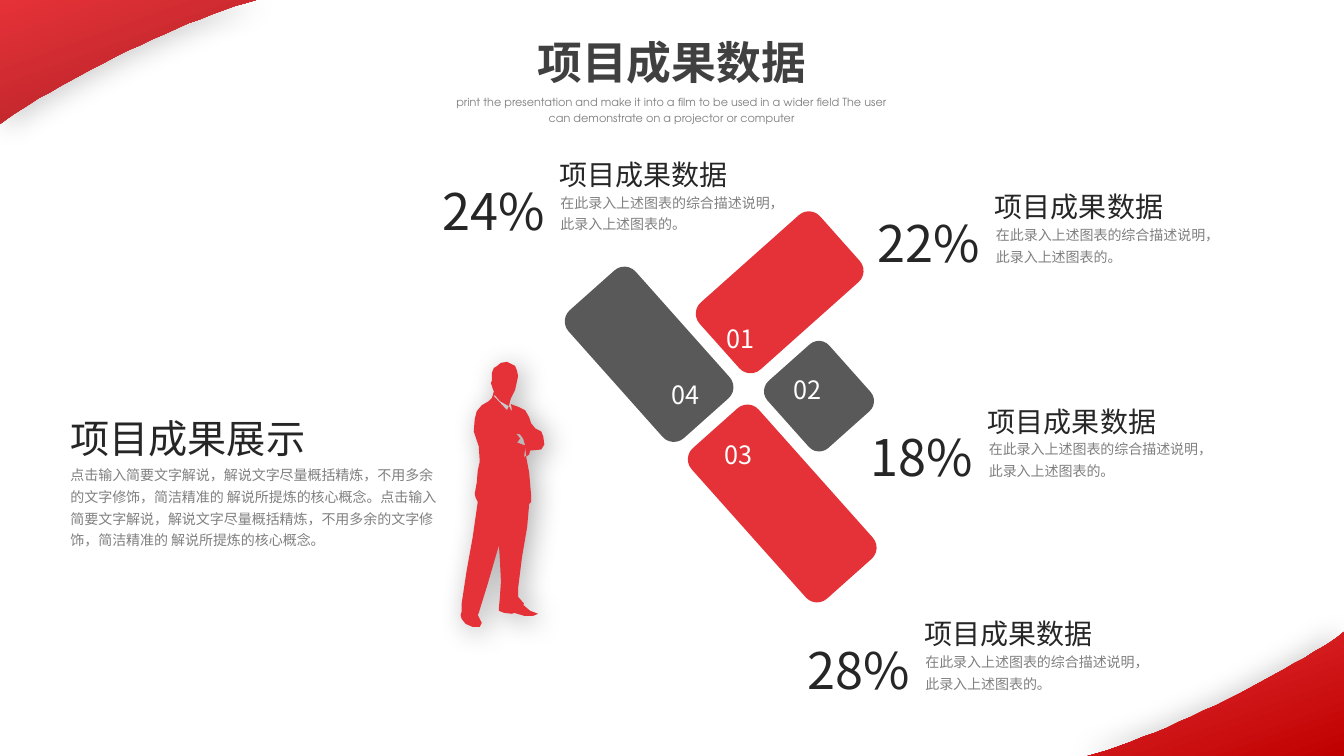
"""Build the project results slide with four percentage blocks and a silhouette."""
from lxml import etree
from pptx import Presentation
from pptx.dml.color import RGBColor
from pptx.enum.shapes import MSO_SHAPE
from pptx.enum.text import MSO_ANCHOR, MSO_AUTO_SIZE, PP_ALIGN
from pptx.oxml.ns import qn
from pptx.util import Inches, Pt

RED = RGBColor(0xE5, 0x32, 0x38)
DARK_RED = RGBColor(0xAC, 0x21, 0x25)
DEEP_RED = RGBColor(0xC0, 0x00, 0x00)
SLATE = RGBColor(0x59, 0x59, 0x59)
INK = RGBColor(0x26, 0x26, 0x26)
TITLE_GRAY = RGBColor(0x40, 0x40, 0x40)
GRAY = RGBColor(0x80, 0x80, 0x80)
WHITE = RGBColor(0xFF, 0xFF, 0xFF)
LEFT, CENTER, RIGHT = PP_ALIGN.LEFT, PP_ALIGN.CENTER, PP_ALIGN.RIGHT
TOP = MSO_ANCHOR.TOP
FIXED, GROW = MSO_AUTO_SIZE.NONE, MSO_AUTO_SIZE.SHAPE_TO_FIT_TEXT
ROUNDED = MSO_SHAPE.ROUNDED_RECTANGLE
SANS, GEOMETRIC = "Noto Sans CJK SC", "TeX Gyre Adventor"

CELL = Inches(0.1)
COLUMNS, ROWS = 133.33, 75
POINTS_PER_CELL = 10

deck = Presentation()
deck.slide_width, deck.slide_height = int(COLUMNS * CELL), ROWS * CELL
page = deck.slides.add_slide(deck.slide_layouts[5])


def write(place, lines, box=None, align=LEFT, spacing=1.3, font=SANS,
          bold=False, wrap=True, grow=True, inset=True):
    """Fill a box at a grid place with lines of (text, size, colour)."""
    left, top, width, height = (int(cells * CELL) for cells in place)
    box = box or page.shapes.add_textbox(left, top, width, height)
    box.left, box.top, box.width, box.height = left, top, width, height
    frame = box.text_frame
    side, edge = (CELL, CELL // 2) if inset else (0, 0)
    frame_format = {
        "word_wrap": wrap, "auto_size": GROW if grow else FIXED,
        "vertical_anchor": TOP, "margin_left": side, "margin_right": side,
        "margin_top": edge, "margin_bottom": edge,
    }
    for name, value in frame_format.items():
        setattr(frame, name, value)
    for index, (text, size, color) in enumerate(lines):
        para = frame.add_paragraph() if index else frame.paragraphs[0]
        para.alignment, para.line_spacing = align, spacing
        span = para.add_run()
        span.text = text
        span.font.color.rgb = color
        for name, value in {"size": Pt(size), "bold": bold, "name": font}.items():
            setattr(span.font, name, value)
        etree.SubElement(span.font._element, qn("a:ea"), typeface=SANS)


def draw_outline(contours, opacity, direction):
    """Draw closed contours, in hundredths of an inch, with a soft shadow."""
    builder = page.shapes.build_freeform(*contours[0][0], scale=CELL / POINTS_PER_CELL)
    for index, contour in enumerate(contours):
        if index:
            builder.move_to(*contour[0])
        builder.add_line_segments(contour[1:], close=True)
    shape = builder.convert_to_shape()
    shape.line.fill.background()
    shape.shadow.inherit = False
    effects = shape._element.spPr.find(qn("a:effectLst"))
    shadow = etree.SubElement(
        effects, qn("a:outerShdw"), blurRad=str(Pt(20)), dist=str(Pt(5)),
        dir=str(direction * 60000), algn="ctr", rotWithShape="0")
    black = etree.SubElement(shadow, qn("a:srgbClr"), val="000000")
    etree.SubElement(black, qn("a:alpha"), val=str(opacity * 1000))
    return shape


CURVE = [(254, 0), (174, 22), (49, 87), (0, 123)]
STEPS = 24
corner = [(0, 0)]
for step in range(STEPS + 1):
    t = step / STEPS
    weights = ((1 - t) ** 3, 3 * t * (1 - t) ** 2, 3 * t * t * (1 - t), t ** 3)
    corner.append(tuple(sum(w * point[axis] for w, point in zip(weights, CURVE))
                        for axis in (0, 1)))
far_x, far_y = COLUMNS * POINTS_PER_CELL, ROWS * POINTS_PER_CELL
opposite = [(far_x - x, far_y - y) for x, y in corner]
for outline, end_color, direction in ((corner, DARK_RED, 45), (opposite, DEEP_RED, 180)):
    fill = draw_outline([outline], 20, direction).fill
    fill.gradient()
    fill.gradient_angle = 290
    for stop, color, position in zip(fill.gradient_stops, (RED, end_color), (0, 1)):
        stop.color.rgb, stop.position = color, position

write((43.3, 2.9, 46.7, 6.4), [("项目成果数据", 32, TITLE_GRAY)], box=page.shapes.title,
      align=CENTER, spacing=1.0, font=GEOMETRIC, bold=True)
write((43.3, 8.7, 46.7, 4.2),
      [("print the presentation and make it into a film to be used in a wider field "
        "The user can demonstrate on a projector or computer", 8, GRAY)],
      align=CENTER, spacing=1.2, font=GEOMETRIC)

TILT = 48.3
blades = [
    ((55.9, 30.7, 17, 8.9), SLATE, "04", (65.6, 36.2)),
    ((67.6, 45.5, 20, 8.9), RED, "03", (70.9, 42.2)),
    ((72.9, 21, 8.9, 16), RED, "01", (71.1, 30.7)),
    ((76.8, 35.2, 8.9, 8.2), SLATE, "02", (77.7, 35.7)),
]
for place, color, number, label_place in blades:
    blade = page.shapes.add_shape(ROUNDED, *(int(cells * CELL) for cells in place))
    blade.rotation = TILT
    blade.shadow.inherit = False
    blade.fill.solid()
    blade.fill.fore_color.rgb = color
    blade.line.fill.background()
    write((*label_place, 4.8, 4.6), [(number, 18, WHITE)], wrap=False)

body = [
    (539, 433), (537, 428), (531, 425), (527, 420), (525, 414), (521, 407), (515, 404),
    (507, 401), (508, 408), (507, 407), (505, 403), (503, 407), (490, 393), (491, 392),
    (496, 398), (505, 403), (506, 398), (507, 395), (511, 387), (513, 378), (514, 373),
    (513, 368), (511, 363), (507, 361), (503, 359), (497, 360), (492, 364), (490, 365),
    (488, 370), (488, 378), (487, 380), (489, 386), (490, 388), (489, 392), (488, 395),
    (485, 398), (478, 402), (473, 408), (471, 416), (470, 428), (475, 443), (476, 458),
    (474, 467), (473, 479), (471, 490), (472, 494), (474, 498), (469, 533), (463, 566),
    (458, 599), (458, 607), (457, 610), (458, 614), (462, 619), (469, 622), (476, 622),
    (478, 618), (474, 610), (475, 608), (484, 579), (495, 541), (496, 556), (497, 577),
    (496, 592), (495, 603), (495, 606), (500, 608), (508, 609), (510, 608), (520, 611),
    (529, 611), (534, 609), (526, 606), (519, 600), (520, 599), (514, 592), (514, 584),
    (518, 552), (523, 523), (525, 500), (527, 498), (527, 492), (525, 469), (522, 453),
    (525, 451), (526, 447), (537, 446), (540, 441),
]
elbow_gap = [(513, 439), (516, 435), (512, 430), (516, 431), (519, 435), (521, 442)]
sleeve_gap = [(520, 454), (521, 444), (522, 452)]
businessman = draw_outline([body, elbow_gap, sleeve_gap], 30, 45)
businessman.fill.solid()
businessman.fill.fore_color.rgb = RED

results = [("28%", 79.1, 61.1), ("18%", 85.4, 40), ("22%", 86.1, 18.75), ("24%", 42.9, 15.55)]
for percent, column, row in results:
    write((column, row, 12.3, 8.1), [(percent, 36, INK)], wrap=False)
    write((column + 12.7, row + 3.2, 21.8, 4.2),
          [("在此录入上述图表的综合描述说明，此录入上述图表的。", 10, GRAY)], inset=False)
    write((column + 12.5, row - 0.9, 16.8, 4), [("项目成果数据", 20, INK)],
          align=RIGHT, wrap=False, inset=False)

explanation = "点击输入简要文字解说，解说文字尽量概括精炼，不用多余的文字修饰，简洁精准的 解说所提炼的核心概念。"
write((6, 39.2, 38.8, 15), [("项目成果展示", 28, INK), (explanation * 2, 10, GRAY)], grow=False)

deck.save("out.pptx")
